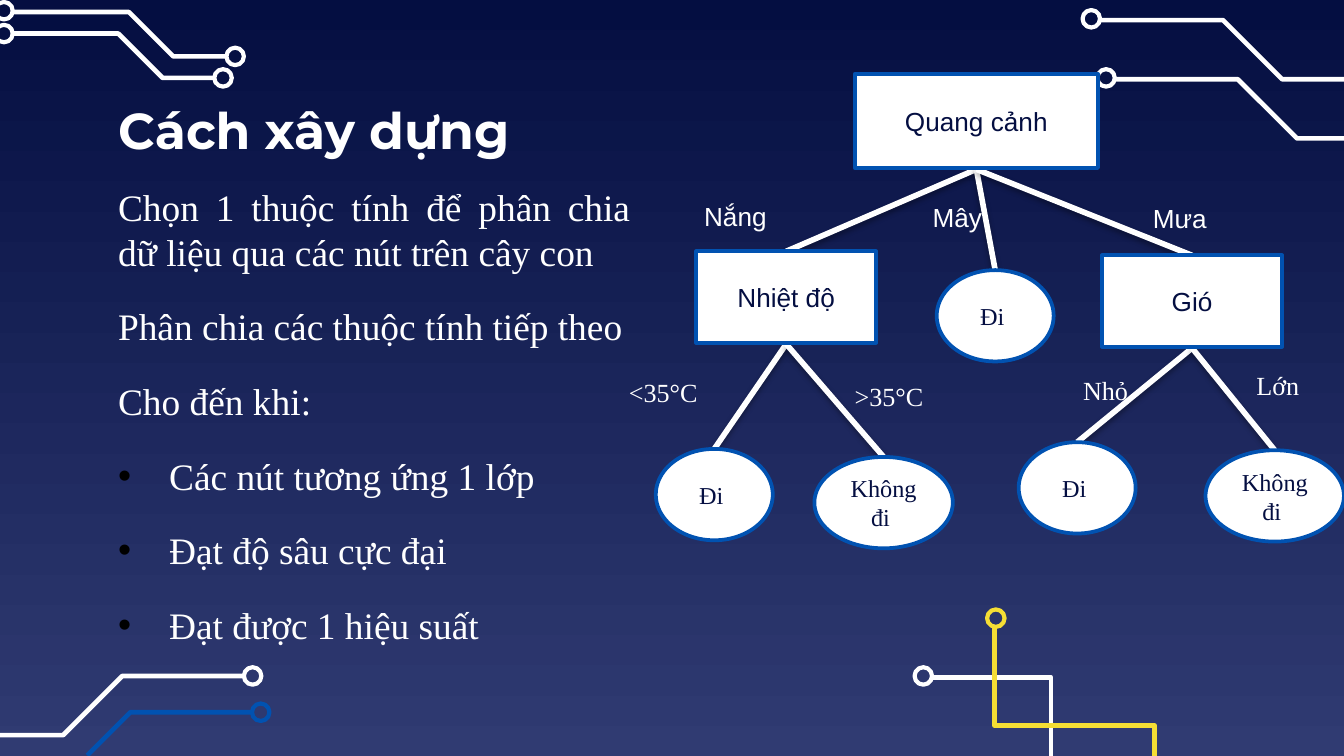
from lxml import etree
from pptx import Presentation
from pptx import util as u
from pptx.dml.color import RGBColor
from pptx.enum import shapes, text
from pptx.oxml import ns

COLORS = {"white": "FFFFFF", "blue": "0152B1", "yellow": "F5DE34",
          "navy": "040E41", "slate": "303B72", "black": "000000"}
SERIF, SANS = "Times New Roman", "Arial"
LEFT, CENTER, JUSTIFY = text.PP_ALIGN.LEFT, text.PP_ALIGN.CENTER, text.PP_ALIGN.JUSTIFY
WIDTH = 10
HEIGHT = WIDTH * 9 / 16


def rgb(name):
    return RGBColor.from_string(COLORS[name])


def sub(parent, tag, **attrs):
    return etree.SubElement(parent, ns.qn(tag), attrs)


def write(p, content, size=14, font=SANS, color="white", bold=False,
          align=LEFT, after=0, bullet=False):
    p.alignment = align
    p.space_after = u.Pt(after)
    if bullet:
        pPr = p._p.get_or_add_pPr()
        pPr.set("marL", str(u.Inches(0.38)))
        pPr.set("indent", str(u.Inches(-0.38)))
        sub(sub(pPr, "a:buClr"), "a:srgbClr", val=COLORS["black"])
        sub(pPr, "a:buFont", typeface=SANS)
        sub(pPr, "a:buChar", char="•")
    r = p.add_run()
    r.text = content
    r.font.size, r.font.name, r.font.bold = u.Pt(size), font, bold
    r.font.color.rgb = rgb(color)


class Deck:
    def __init__(self, width, height):
        self.prs = Presentation()
        self.prs.slide_width, self.prs.slide_height = u.Inches(width), u.Inches(height)
        self.s = self.prs.slides.add_slide(self.prs.slide_layouts[6])

    def background(self, top, bottom):
        fill = self.s.background.fill
        fill.gradient()
        fill.gradient_angle = 270
        for stop, color, position in zip(fill.gradient_stops, (top, bottom), (0, 1)):
            stop.color.rgb = rgb(color)
            stop.position = position

    def outline(self, sp, color, width, fill=None):
        sp.shadow.inherit = False
        sp.line.color.rgb = rgb(color)
        sp.line.width = u.Pt(width)
        if fill:
            sp.fill.solid()
            sp.fill.fore_color.rgb = rgb(fill)
        else:
            sp.fill.background()

    def trace(self, points, color):
        start, *rest = [(u.Inches(x), u.Inches(y)) for x, y in points]
        builder = self.s.shapes.build_freeform(*start)
        builder.add_line_segments(rest, close=False)
        self.outline(builder.convert_to_shape(), color, 2.5)

    def ring(self, x, y, color):
        size = 0.13
        sp = self.s.shapes.add_shape(
            shapes.MSO_SHAPE.OVAL, u.Inches(x - size / 2), u.Inches(y - size / 2),
            u.Inches(size), u.Inches(size))
        self.outline(sp, color, 2.25)

    def textbox(self, box, paragraphs, inset=0.05, anchor=text.MSO_ANCHOR.TOP):
        tf = self.s.shapes.add_textbox(*map(u.Inches, box)).text_frame
        tf.word_wrap = True
        tf.vertical_anchor = anchor
        tf.margin_top = tf.margin_bottom = u.Inches(inset)
        for i, (content, fmt) in enumerate(paragraphs):
            write(tf.add_paragraph() if i else tf.paragraphs[0], content, **fmt)

    def branch(self, start, end):
        line = self.s.shapes.add_connector(
            shapes.MSO_CONNECTOR.STRAIGHT, *map(u.Inches, (*start, *end)))
        line.line.color.rgb = rgb("white")
        line.line.width = u.Pt(3)
        effects = sub(line._element.spPr, "a:effectLst")
        shadow = sub(effects, "a:outerShdw", blurRad="40000", dist="23000",
                     dir="5400000", rotWithShape="0")
        sub(sub(shadow, "a:srgbClr", val=COLORS["black"]), "a:alpha", val="35000")

    def node(self, kind, box, content, **fmt):
        sp = self.s.shapes.add_shape(kind, *map(u.Inches, box))
        self.outline(sp, "blue", 2, "white")
        tf = sp.text_frame
        tf.word_wrap = True
        tf.vertical_anchor = text.MSO_ANCHOR.MIDDLE
        write(tf.paragraphs[0], content, color="navy", align=CENTER, **fmt)


TRACES = [
    ("white", [(0, 5.47), (0.47, 5.47), (0.91, 5.03), (1.82, 5.03)], [(1.88, 5.03)]),
    ("blue", [(0.65, 5.62), (0.97, 5.3), (1.88, 5.3)], [(1.94, 5.3)]),
    ("white", [(0.09, 0.25), (0.88, 0.25), (1.21, 0.58), (1.6, 0.58)],
     [(0.03, 0.25), (1.66, 0.58)]),
    ("white", [(0.09, 0.09), (0.96, 0.09), (1.29, 0.42), (1.69, 0.42)],
     [(0.03, 0.08), (1.75, 0.42)]),
    ("white", [(8.18, 0.15), (9.1, 0.15), (9.54, 0.59), (10, 0.59)], [(8.12, 0.14)]),
    ("white", [(8.29, 0.59), (9.21, 0.59), (9.65, 1.03), (10, 1.03)], [(8.23, 0.58)]),
    ("white", [(6.93, 5.04), (7.82, 5.04), (7.82, HEIGHT)], [(6.87, 5.03)]),
    ("yellow", [(7.4, 4.66), (7.4, 5.4), (8.59, 5.4), (8.59, HEIGHT)], [(7.41, 4.6)]),
]

RECT, OVAL = shapes.MSO_SHAPE.RECTANGLE, shapes.MSO_SHAPE.OVAL
NODES = {
    "outlook": (RECT, (6.36, 0.55, 1.81, 0.7), "Quang cảnh"),
    "temperature": (RECT, (5.18, 1.87, 1.34, 0.68), "Nhiệt độ"),
    "cloudy": (OVAL, (6.97, 2.01, 0.87, 0.68), "Đi "),
    "wind": (RECT, (8.2, 1.9, 1.34, 0.68), "Gió"),
    "cool": (OVAL, (4.88, 3.34, 0.87, 0.68), "Đi "),
    "hot": (OVAL, (6.06, 3.4, 1.03, 0.68), "Không đi "),
    "light": (OVAL, (7.58, 3.29, 0.87, 0.68), "Đi "),
    "strong": (OVAL, (8.97, 3.35, 1.03, 0.68), "Không đi "),
}
BRANCHES = {"outlook": ("temperature", "cloudy", "wind"),
            "temperature": ("cool", "hot"),
            "wind": ("light", "strong")}
LABELS = [
    ("Nắng", 5.14, 1.44, SANS), ("Mây", 6.84, 1.45, SANS), ("Mưa", 8.48, 1.46, SANS),
    ("<35°C", 4.58, 2.75, SERIF), (">35°C", 6.26, 2.78, SERIF),
    ("Nhỏ", 7.96, 2.74, SERIF), ("Lớn", 9.25, 2.7, SERIF),
]
STEPS = ["Chọn 1 thuộc tính để phân chia dữ liệu qua các nút trên cây con",
         "Phân chia các thuộc tính tiếp theo", "Cho đến khi: "]
STOPS = ["Các nút tương ứng 1 lớp", "Đạt độ sâu cực đại", "Đạt được 1 hiệu suất "]


def main():
    deck = Deck(WIDTH, HEIGHT)
    deck.background("navy", "slate")
    for color, points, rings in TRACES:
        deck.trace(points, color)
        for x, y in rings:
            deck.ring(x, y, color)

    title = dict(size=27, font="Montserrat", bold=True)
    deck.textbox((0.78, 0.49, 4.65, 0.95), [("Cách xây dựng", title)],
                 inset=0.1, anchor=text.MSO_ANCHOR.MIDDLE)
    body = dict(size=20, font=SERIF, align=JUSTIFY, after=16)
    deck.textbox((0.78, 1.27, 4.01, 3.86),
                 [(step, body) for step in STEPS]
                 + [(stop, dict(body, bullet=True)) for stop in STOPS], inset=0.1)

    for parent, children in BRANCHES.items():
        x, y, w, h = NODES[parent][1]
        for child in children:
            cx, cy, cw, _ = NODES[child][1]
            deck.branch((x + w / 2, y + h + 0.01), (cx + cw / 2, cy))
    for content, x, y, font in LABELS:
        deck.textbox((x, y, 1.12, 0.34), [(content, dict(font=font))])
    for kind, box, content in NODES.values():
        fmt = dict(size=14, font=SANS) if kind == RECT else dict(size=13, font=SERIF)
        deck.node(kind, box, content, **fmt)
    deck.prs.save("out.pptx")


if __name__ == "__main__":
    main()
